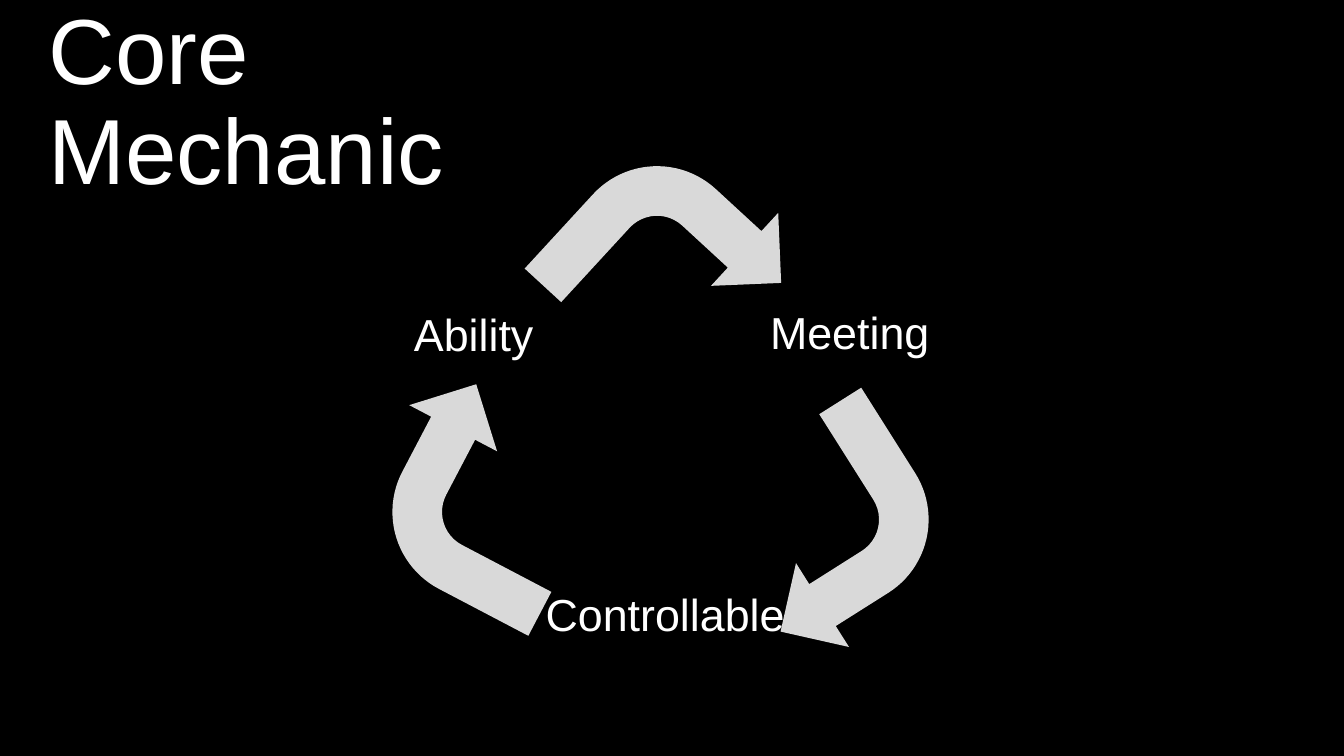
from pptx import Presentation
from pptx.dml.color import RGBColor
from pptx.enum.shapes import MSO_SHAPE
from pptx.enum.text import MSO_ANCHOR, MSO_AUTO_SIZE, PP_ALIGN
from pptx.util import Pt

BLACK = RGBColor(0x00, 0x00, 0x00)
WHITE = RGBColor(0xFF, 0xFF, 0xFF)
LIGHT_GRAY = RGBColor(0xD9, 0xD9, 0xD9)

FONT = "Arial"
STAGE_WIDTH, STAGE_HEIGHT = 295.2, 115.9
ARROW_WIDTH, ARROW_HEIGHT = 141.8, 151.9

# Stage name, left, top
STAGES = [
    ("Controllable", 327.6, 383),
    ("Ability", 190.8, 182.9),
    ("Meeting", 459.4, 181.4),
]
# Left, top, rotation
ARROWS = [
    (272.2, 280.1, 297.7),
    (524.9, 303.1, 147.7),
    (407.5, 108, 42.6),
]


def write_text(shape, text, size, align):
    frame = shape.text_frame
    frame.text = text
    frame.word_wrap = True
    frame.auto_size = MSO_AUTO_SIZE.NONE
    frame.vertical_anchor = MSO_ANCHOR.MIDDLE
    paragraph = frame.paragraphs[0]
    paragraph.alignment = align
    paragraph.line_spacing = 0.9
    font = paragraph.runs[0].font
    font.name = FONT
    font.size = Pt(size)
    font.color.rgb = WHITE


def set_title(slide, text):
    title = slide.shapes.title
    title.left, title.top = Pt(27.4), Pt(-19.4)
    title.width, title.height = Pt(348.5), Pt(187.9)
    write_text(title, text, 66, PP_ALIGN.LEFT)


def add_stage(cycle, name, left, top):
    stage = cycle.shapes.add_textbox(
        Pt(left), Pt(top), Pt(STAGE_WIDTH), Pt(STAGE_HEIGHT))
    write_text(stage, name, 32, PP_ALIGN.CENTER)


def add_arrow(cycle, left, top, rotation):
    arrow = cycle.shapes.add_shape(
        MSO_SHAPE.BENT_ARROW,
        Pt(left), Pt(top), Pt(ARROW_WIDTH), Pt(ARROW_HEIGHT))
    arrow.rotation = rotation
    arrow.shadow.inherit = False
    arrow.fill.solid()
    arrow.fill.fore_color.rgb = LIGHT_GRAY
    arrow.line.fill.background()


def main():
    deck = Presentation()
    deck.slide_width, deck.slide_height = Pt(960), Pt(540)
    slide = deck.slides.add_slide(deck.slide_layouts[5])

    # Background and title
    slide.background.fill.solid()
    slide.background.fill.fore_color.rgb = BLACK
    set_title(slide, "Core Mechanic")

    # Cycle of stages joined by arrows
    cycle = slide.shapes.add_group_shape()
    for name, left, top in STAGES:
        add_stage(cycle, name, left, top)
    for left, top, rotation in ARROWS:
        add_arrow(cycle, left, top, rotation)

    deck.save("out.pptx")


if __name__ == "__main__":
    main()
